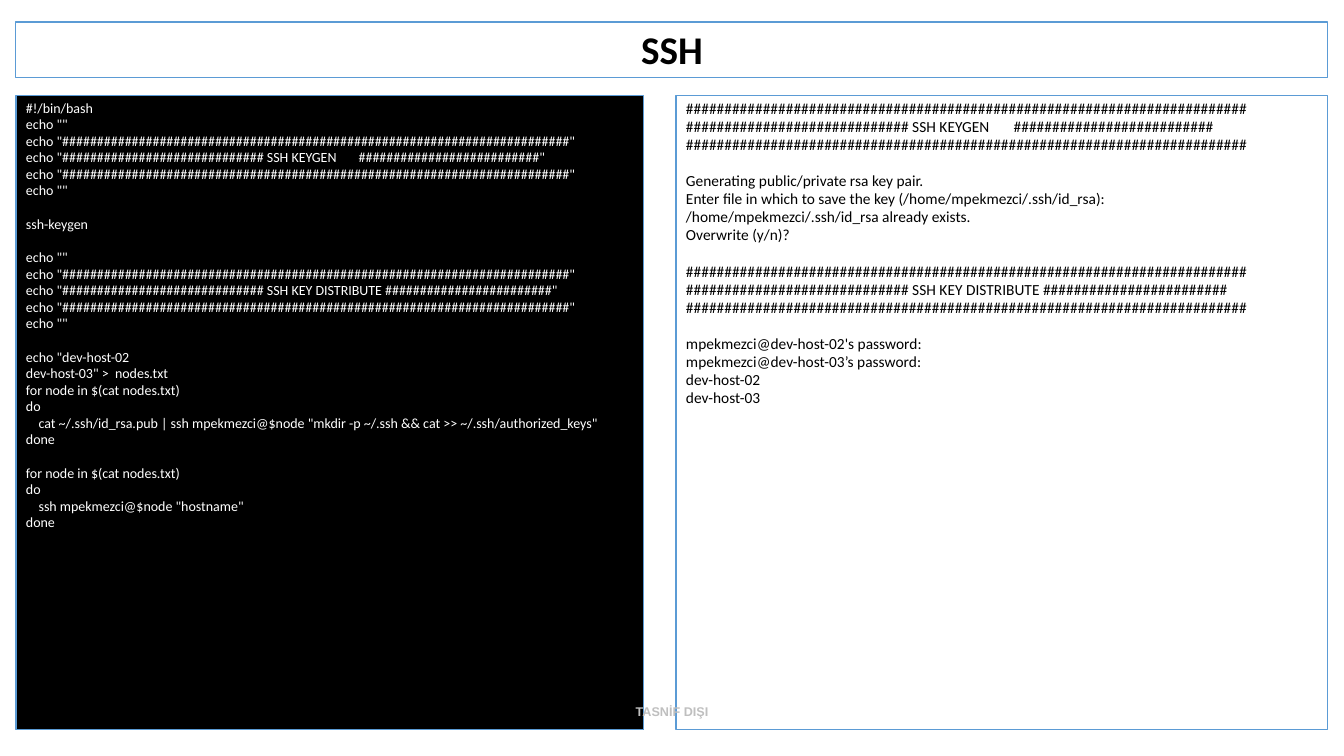
"""Build the SSH key slide: a shell script beside its console output."""
import pptx
import pptx.dml.color
import pptx.enum.shapes
import pptx.enum.text
import pptx.util

COLORS = {"ink": "000000", "paper": "FFFFFF", "border": "5B9BD5", "label": "BFBFBF"}
ALIGN = pptx.enum.text.PP_ALIGN
ANCHOR = pptx.enum.text.MSO_ANCHOR

BAR = "#" * 73
KEYGEN = "#" * 29 + " SSH KEYGEN       " + "#" * 26
DISTRIBUTE = "#" * 29 + " SSH KEY DISTRIBUTE " + "#" * 24

SCRIPT = f"""#!/bin/bash
echo ""
echo "{BAR}"
echo "{KEYGEN}"
echo "{BAR}"
echo ""

ssh-keygen

echo ""
echo "{BAR}"
echo "{DISTRIBUTE}"
echo "{BAR}"
echo ""

echo "dev-host-02
dev-host-03" >  nodes.txt
for node in $(cat nodes.txt)
do
    cat ~/.ssh/id_rsa.pub | ssh mpekmezci@$node "mkdir -p ~/.ssh && cat >> ~/.ssh/authorized_keys"
done

for node in $(cat nodes.txt)
do
    ssh mpekmezci@$node "hostname"
done"""

OUTPUT = f"""{BAR}
{KEYGEN}
{BAR}

Generating public/private rsa key pair.
Enter file in which to save the key (/home/mpekmezci/.ssh/id_rsa):
/home/mpekmezci/.ssh/id_rsa already exists.
Overwrite (y/n)?

{BAR}
{DISTRIBUTE}
{BAR}

mpekmezci@dev-host-02's password:
mpekmezci@dev-host-03’s password:
dev-host-02
dev-host-03"""


class SlideBuilder:
    """Holds the style and the current slide."""

    line_spacing = 0.9
    line_gap = 1
    font_height = 1.22

    def __init__(self, page):
        self.page = page

    @staticmethod
    def px(count):
        """Turn px into EMU."""
        return pptx.util.Emu(round(count * 914400 / 100.8))

    @staticmethod
    def color(name):
        """Look up a named colour."""
        return pptx.dml.color.RGBColor.from_string(COLORS[name])

    def set_frame(self, shape, anchor, top_inset=5):
        """Set wrapping, anchor and insets of the text in a shape."""
        frame = shape.text_frame
        frame.word_wrap = True
        frame.vertical_anchor = anchor
        frame.margin_left = frame.margin_right = self.px(10)
        frame.margin_top = self.px(top_inset)
        frame.margin_bottom = self.px(5)
        return frame

    def set_text(self, para, text, size, color, font="Calibri", bold=False, align=ALIGN.LEFT):
        """Fill one paragraph and set its font."""
        para.text = text
        para.alignment = align
        para.font.name = font
        para.font.size = pptx.util.Pt(size)
        para.font.bold = bold
        para.font.color.rgb = self.color(color)

    def panel(self, left, top, width, height, fill=None, anchor=ANCHOR.TOP):
        """Add a bordered rectangle and return its text frame."""
        box = self.page.shapes.add_shape(
            pptx.enum.shapes.MSO_SHAPE.RECTANGLE,
            *map(self.px, (left, top, width, height)))
        box.shadow.inherit = False
        if fill:
            box.fill.solid()
            box.fill.fore_color.rgb = self.color(fill)
        else:
            box.fill.background()
        box.line.color.rgb = self.color("border")
        box.line.width = pptx.util.Pt(0)
        return self.set_frame(box, anchor)

    def title(self, text, *place):
        """Add the bordered title."""
        para = self.panel(*place, anchor=ANCHOR.BOTTOM).paragraphs[0]
        self.set_text(para, text, 28, "ink", bold=True, align=ALIGN.CENTER)
        para.line_spacing = self.line_spacing

    def listing(self, text, *place, size, color, fill=None):
        """Add a panel of lines, with an empty line turned into space before the next."""
        frame = self.panel(*place, fill=fill)
        row = size * self.font_height * self.line_spacing + self.line_gap
        for block_index, block in enumerate(text.split("\n\n")):
            for line_index, line in enumerate(block.split("\n")):
                first = block_index == line_index == 0
                para = frame.paragraphs[0] if first else frame.add_paragraph()
                self.set_text(para, line, size, color)
                para.line_spacing = self.line_spacing
                if not first:
                    extra = row if line_index == 0 else 0
                    para.space_before = pptx.util.Pt(round(self.line_gap + extra, 1))

    def label(self, text, *place):
        """Add the centred classification label."""
        box = self.page.shapes.add_textbox(*map(self.px, place))
        frame = self.set_frame(box, ANCHOR.TOP, top_inset=3)
        self.set_text(frame.paragraphs[0], text, 9, "label", "Arial", True, ALIGN.CENTER)


def main():
    deck = pptx.Presentation()
    deck.slide_width = SlideBuilder.px(1344)
    deck.slide_height = SlideBuilder.px(756)
    slide = SlideBuilder(deck.slides.add_slide(deck.slide_layouts[6]))
    slide.title("SSH", 16, 22, 1312, 56)
    slide.listing(SCRIPT, 16, 96, 628, 634, size=10, color="paper", fill="ink")
    slide.listing(OUTPUT, 676, 96, 652, 634, size=11, color="ink")
    slide.label("TASNİF DIŞI", 0, 701, 1344, 40)
    deck.save("out.pptx")


if __name__ == "__main__":
    main()
